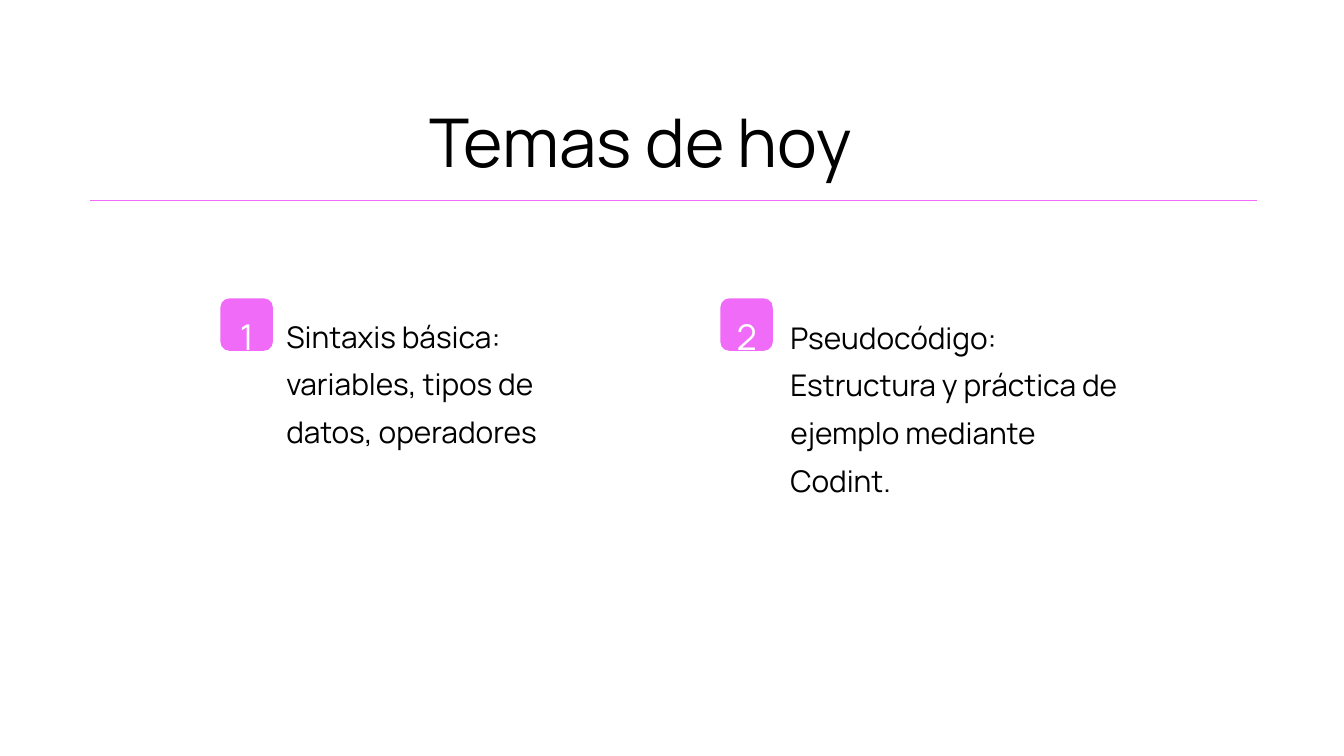
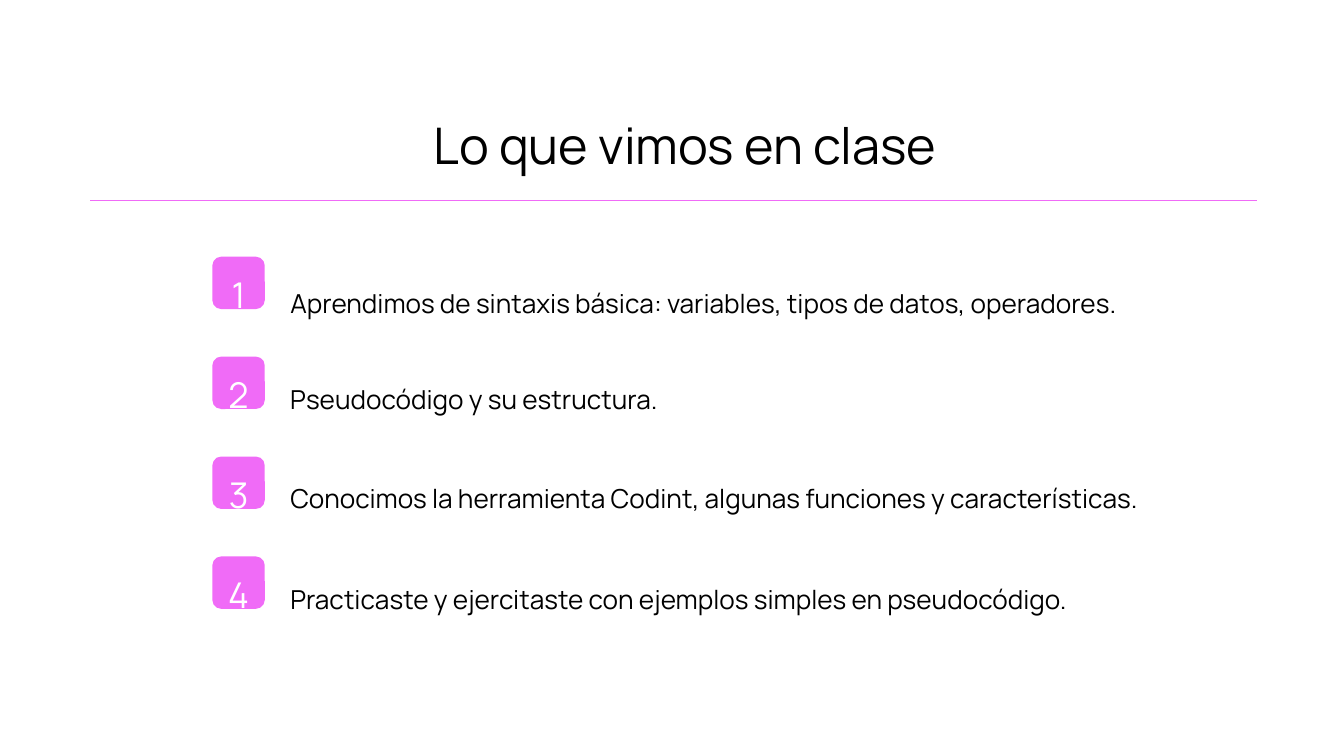
from dataclasses import dataclass

import pptx
import pptx.dml.color
import pptx.enum.shapes
import pptx.enum.text
import pptx.oxml.ns
import pptx.util
from pptx.util import Inches

COLORS = {"accent": "F06BF7", "text": "000000", "number": "FFFFFF", "background": "FFFFFF"}
FONT = "Manrope"
BADGE_SIZE = 0.39
NUMBER_RISE = 0.05
FIRST_BADGE_TOP, LAST_BADGE_TOP = 1.91, 4.14
CENTER = pptx.enum.text.PP_ALIGN.CENTER
LEFT = pptx.enum.text.PP_ALIGN.LEFT


@dataclass
class TextStyle:
    size: int
    spacing: float
    color: str = "text"
    align: pptx.enum.text.PP_ALIGN = LEFT


@dataclass
class Label:
    text: str
    left: float
    top: float
    width: float
    height: float


@dataclass
class Topic:
    badge_left: float
    badge_top: float
    label: Label


NUMBER = TextStyle(19, 1.55, "number", CENTER)
TOPIC = TextStyle(16, 1.33)
SUMMARY = TextStyle(14, 1.77)


def rgb(name: str) -> pptx.dml.color.RGBColor:
    return pptx.dml.color.RGBColor.from_string(COLORS[name])


def add_label(shapes, label: Label, style: TextStyle) -> None:
    sp = shapes.add_textbox(Inches(label.left), Inches(label.top),
                            Inches(label.width), Inches(label.height))
    tf = sp.text_frame
    tf.margin_left = tf.margin_right = tf.margin_top = tf.margin_bottom = 0
    tf.word_wrap = True
    tf.auto_size = pptx.enum.text.MSO_AUTO_SIZE.SHAPE_TO_FIT_TEXT
    p = tf.paragraphs[0]
    p.alignment = style.align
    p.line_spacing = style.spacing
    r = p.add_run()
    r.text = label.text
    r.font.name = FONT
    r.font.size = pptx.util.Pt(style.size)
    r.font.color.rgb = rgb(style.color)


def add_badge(shapes, number: int, left: float, top: float) -> None:
    sp = shapes.add_shape(pptx.enum.shapes.MSO_SHAPE.ROUNDED_RECTANGLE, Inches(left),
                          Inches(top), Inches(BADGE_SIZE), Inches(BADGE_SIZE))
    sp.shadow.inherit = False
    sp.adjustments[0] = 0.17
    sp.fill.solid()
    sp.fill.fore_color.rgb = rgb("accent")
    sp.line.fill.background()
    add_label(shapes, Label(str(number), left, top - NUMBER_RISE, BADGE_SIZE, 0.32), NUMBER)


def add_rule(s) -> None:
    line = s.shapes.add_connector(pptx.enum.shapes.MSO_CONNECTOR.STRAIGHT,
                                  Inches(0.67), Inches(1.49), Inches(9.35), Inches(1.49))
    line.line.color.rgb = rgb("accent")
    line.line.width = pptx.util.Pt(0.75)
    properties = line._element.spPr
    properties.append(properties.makeelement(pptx.oxml.ns.qn("a:effectLst"), {}))


def add_topic_slide(prs, title: Label, title_size: int, topics: list[Topic],
                    style: TextStyle, grouped: bool) -> None:
    s = prs.slides.add_slide(prs.slide_layouts[6])
    s.background.fill.solid()
    s.background.fill.fore_color.rgb = rgb("background")
    add_label(s.shapes, title, TextStyle(title_size, 1.04, align=CENTER))
    add_rule(s)
    for number, topic in enumerate(topics, 1):
        shapes = s.shapes.add_group_shape().shapes if grouped else s.shapes
        add_badge(shapes, number, topic.badge_left, topic.badge_top)
        add_label(s.shapes, topic.label, style)


def main() -> None:
    prs = pptx.Presentation()
    prs.slide_width = Inches(10)
    prs.slide_height = prs.slide_width * 9 // 16

    today = [
        Topic(1.64, 2.22, Label("Sintaxis básica: variables, tipos de datos, operadores",
                                2.13, 2.28, 2.38, 0.99)),
        Topic(5.36, 2.22, Label("Pseudocódigo: Estructura y práctica de ejemplo mediante Codint.",
                                5.88, 2.29, 2.49, 1.34)),
    ]
    add_topic_slide(prs, Label("Temas de hoy", -0.56, 0.72, 10.65, 0.61), 36,
                    today, TOPIC, grouped=False)

    learned = [
        ("Aprendimos de sintaxis básica: variables, tipos de datos, operadores.", 1.96, 7.19),
        ("Pseudocódigo y su estructura.", 2.67, 5.23),
        ("Conocimos la herramienta Codint, algunas funciones y características.", 3.41, 7.19),
        ("Practicaste y ejercitaste con ejemplos simples en pseudocódigo.", 4.16, 6.02),
    ]
    pitch = (LAST_BADGE_TOP - FIRST_BADGE_TOP) / (len(learned) - 1)
    summary = [Topic(1.58, FIRST_BADGE_TOP + pitch * row, Label(text, 2.16, top, width, 0.24))
               for row, (text, top, width) in enumerate(learned)]
    add_topic_slide(prs, Label("Lo que vimos en clase", 0.6, 0.83, 8.99, 0.45), 27,
                    summary, SUMMARY, grouped=True)
    prs.save("out.pptx")


if __name__ == "__main__":
    main()
